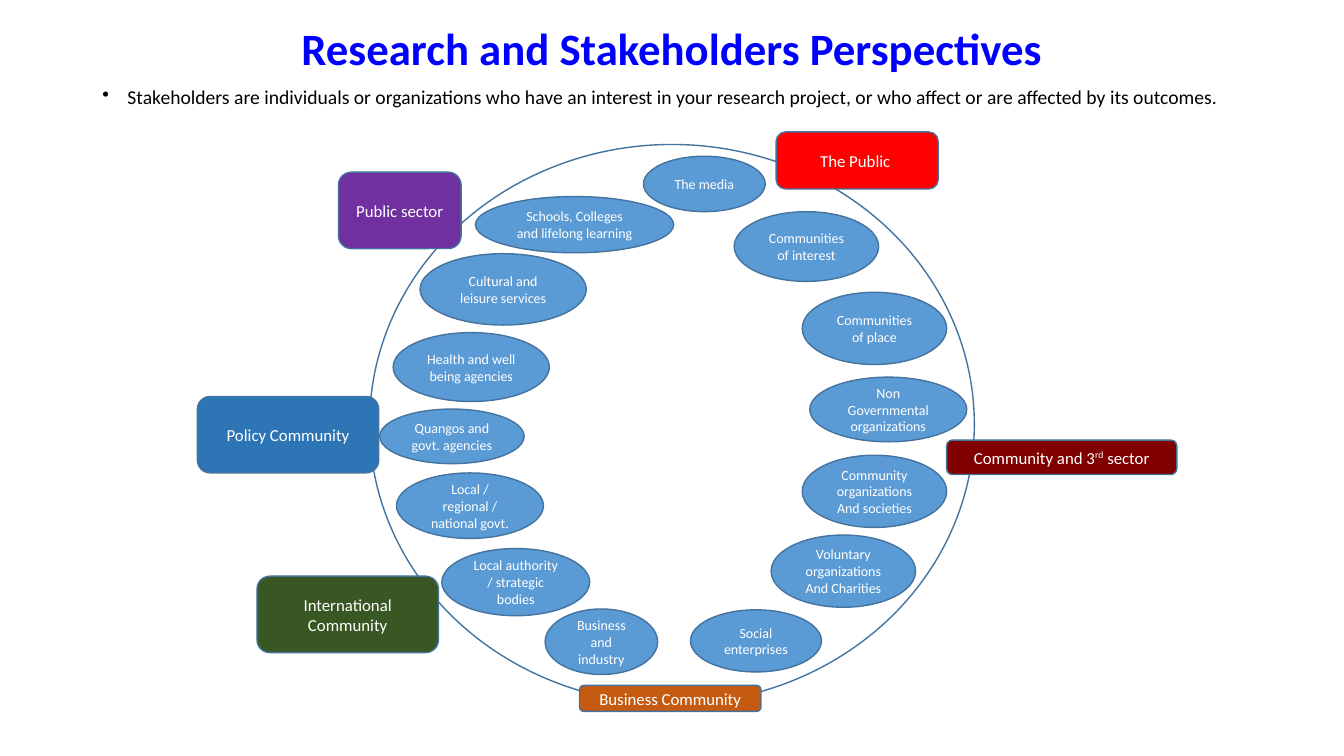
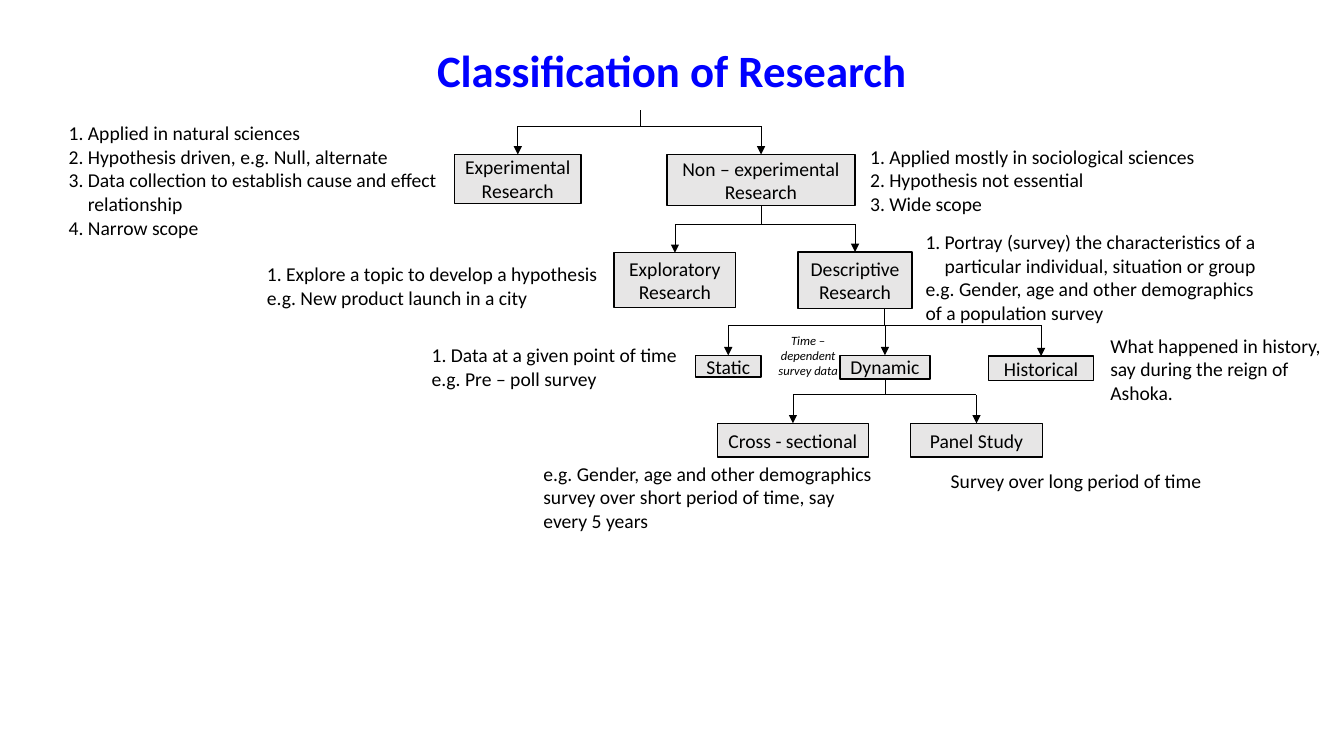
import pptx
import pptx.dml.color
import pptx.enum.shapes
import pptx.enum.text
import pptx.oxml.ns
import pptx.util
from lxml import etree

COLORS = {
    "title": "0000FF", "text": "000000", "light": "FFFFFF", "outline": "43739E",
    "stakeholder": "5B9BD5", "box": "E7E6E6", "public": "FF0000",
    "third_sector": "800000", "international": "385723", "policy": "2E75B6",
    "public_sector": "7030A0", "business": "C55A11",
}
FONT = "Calibri"
CELL = pptx.util.Inches(1 / 12)  # square cell of the grid
COLUMNS, ROWS = 160, 90
SHAPES = pptx.enum.shapes.MSO_SHAPE
ALIGN = pptx.enum.text.PP_ALIGN
ANCHOR = pptx.enum.text.MSO_ANCHOR
BULLET = ("buChar", {"char": "•"}, 0.25)
NUMBER = ("buAutoNum", {"type": "arabicPeriod"}, 0.19)

# Each entry: text, then left, top, width and height in grid cells
STAKEHOLDERS = [
    ("The media", 76.6, 18.6, 14.5, 6.6),
    ("Communities of interest", 87.4, 25.2, 17.2, 8.3),
    ("Communities of place", 95.5, 34.8, 17.2, 8.6),
    ("Non Governmental organizations", 96.4, 44.9, 18.7, 7.7),
    ("Community organizations\nAnd societies", 95.5, 54.2, 17.2, 8.6),
    ("Voluntary organizations\nAnd Charities", 91.8, 63.7, 17.2, 8.6),
    ("Social enterprises", 82.2, 72.6, 15.6, 7.4),
    ("Business and industry", 64.9, 72.5, 13.4, 7.8),
    ("Local authority / strategic bodies", 52.6, 65.3, 17.6, 8),
    ("Local / regional / national govt.", 47.2, 56.3, 17.5, 7.8),
    ("Quangos and govt. agencies", 45.2, 48.7, 17.2, 6.5),
    ("Health and well being agencies", 46.8, 39.6, 18.6, 8.2),
    ("Cultural and leisure services", 50, 30.2, 19.8, 8.5),
    ("Schools, Colleges and lifelong learning", 56.6, 23.4, 23.6, 6.7),
]
SECTORS = [
    ("The Public ", "public", 92.4, 15.7, 19.3, 6.8),
    ("Community and 3^rd^ sector", "third_sector", 112.7, 52.4, 27.4, 4.1),
    ("International Community", "international", 30.6, 68.6, 21.6, 9.1),
    ("Policy Community", "policy", 23.5, 47.2, 21.6, 9.1),
    ("Public sector", "public_sector", 40.3, 20.5, 14.6, 9.1),
    ("Business Community", "business", 69, 81.6, 21.6, 3.1),
]
RESEARCH_TYPES = {
    "experimental": ("Experimental Research", 54.1, 18.4, 15.1, 5.8),
    "non_experimental": ("Non – experimental Research", 79.4, 18.4, 22.4, 6.1),
    "exploratory": ("Exploratory Research", 73.1, 30.1, 14.5, 6.5),
    "descriptive": ("Descriptive Research", 95, 30, 13.6, 6.7),
    "static": ("Static", 82.8, 42.3, 7.8, 2.6),
    "dynamic": ("Dynamic", 100, 42.3, 10.7, 2.8),
    "historical": ("Historical", 117.7, 42.4, 12.5, 2.9),
    "cross_sectional": ("Cross - sectional", 85.4, 50.4, 18, 4),
    "panel": ("Panel Study", 108.4, 50.4, 15.7, 4),
}
# Each entry: numbered points, closing text, then the place in grid cells
NOTES = [
    (["Applied in natural sciences", "Hypothesis driven, e.g. Null, alternate",
      "Data collection to establish cause and effect relationship", "Narrow scope"],
     None, 7, 13.9, 46.4, 15.1),
    (["Applied mostly in sociological sciences", "Hypothesis not essential", "Wide scope"],
     None, 102.4, 16.2, 41.9, 10.4),
    (["Explore a topic to develop a hypothesis"],
     "e.g. New product launch in a city", 30.6, 30.4, 42, 7.2),
    (["Portray (survey) the characteristics of a particular individual, situation or group"],
     "e.g. Gender, age and other demographics of a population survey", 109, 27.8, 41.9, 10.4),
    (["Data at a given point of time"], "e.g. Pre – poll survey", 50.2, 40.6, 31.8, 6.1),
    ([], "What happened in history, say during the reign of Ashoka.", 131, 39.4, 29, 9),
    ([], "e.g. Gender, age and other demographics survey over short period of time, "
         "say every 5 years", 63.5, 55, 41.9, 8.3),
    ([], "Survey over long period of time", 112, 55.4, 32.3, 3.6),
]


def rgb(name):
    return pptx.dml.color.RGBColor.from_string(COLORS[name])


def cells(*counts):
    return [round(count * CELL) for count in counts]


def add_marker(paragraph, marker):
    """Give the paragraph a bullet or number with a hanging indent."""
    tag, attributes, indent = marker
    properties = paragraph._p.get_or_add_pPr()
    properties.set("marL", str(pptx.util.Inches(indent)))
    properties.set("indent", str(-pptx.util.Inches(indent)))
    etree.SubElement(properties, pptx.oxml.ns.qn("a:" + tag), attributes)


def write(shape, paragraphs, size, color="text", align=ALIGN.CENTER, anchor=ANCHOR.MIDDLE,
          bold=False, italic=False, spacing=None):
    """Fill a shape with (text, marker) paragraphs; ^ encloses superscript."""
    frame = shape.text_frame
    frame.word_wrap = True
    frame.vertical_anchor = anchor
    for index, (text, marker) in enumerate(paragraphs):
        paragraph = frame.add_paragraph() if index else frame.paragraphs[0]
        if marker:
            add_marker(paragraph, marker)
        paragraph.alignment = align
        if spacing:
            paragraph.line_spacing = spacing
        font = paragraph.font
        font.name, font.size = FONT, pptx.util.Pt(size)
        font.bold, font.italic = bold, italic
        font.color.rgb = rgb(color)
        for position, part in enumerate(text.split("^")):
            run = paragraph.add_run()
            run.text = part
            if position % 2:
                run._r.get_or_add_rPr().set("baseline", "30000")


def add_text(slide, paragraphs, place, size, **style):
    write(slide.shapes.add_textbox(*cells(*place)), paragraphs, size, **style)


def add_title(slide, text, top):
    add_text(slide, [(text, None)], (11, top, COLUMNS - 22, 7.7), 32,
             color="title", bold=True, spacing=0.9)


def add_node(slide, kind, place, fill=None, line="outline"):
    shape = slide.shapes.add_shape(kind, *cells(*place))
    shape.shadow.inherit = False
    if fill:
        shape.fill.solid()
        shape.fill.fore_color.rgb = rgb(fill)
    else:
        shape.fill.background()
    shape.line.color.rgb = rgb(line)
    shape.line.width = pptx.util.Pt(1)
    return shape


def add_label(slide, kind, text, place, fill, size, color="light", line="outline"):
    shape = add_node(slide, kind, place, fill, line)
    write(shape, [(part, None) for part in text.split("\n")], size, color)
    return shape


def add_research_box(slide, text, place):
    box = add_label(slide, SHAPES.RECTANGLE, text, place, "box", 14, "text", "text")
    frame = box.text_frame
    frame.margin_left = frame.margin_right = pptx.util.Inches(0.05)
    frame.margin_top = frame.margin_bottom = 0
    return box


def add_line(slide, start, end, arrow=False):
    line = slide.shapes.add_connector(pptx.enum.shapes.MSO_CONNECTOR.STRAIGHT, *start, *end)
    line.line.color.rgb = rgb("text")
    line.line.width = pptx.util.Pt(0.5)
    if arrow:
        etree.SubElement(line.line._get_or_add_ln(), pptx.oxml.ns.qn("a:tailEnd"),
                         {"type": "triangle"})
    etree.SubElement(line._element.spPr, pptx.oxml.ns.qn("a:effectLst"))
    return line


def middle(box):
    return box.left + box.width // 2


def add_fork(slide, bar_row, children, parent=None, start=None):
    """Draw a stem from a parent box or a free start, a bar, and an arrow to each child."""
    bar = cells(bar_row)[0]
    x, y = (middle(parent), parent.top + parent.height) if parent else cells(*start)
    stem = add_line(slide, (x, y), (x, bar))
    if parent:
        stem.begin_connect(parent, 2)
    add_line(slide, (middle(children[0]), bar), (middle(children[-1]), bar))
    for child in children:
        arrow = add_line(slide, (middle(child), bar), (middle(child), child.top), arrow=True)
        arrow.end_connect(child, 0)


def build_stakeholders(slide):
    add_title(slide, "Research and Stakeholders Perspectives", 2.2)
    definition = ("Stakeholders are individuals or organizations who have an interest in your "
                  "research project, or who affect or are affected by its outcomes.")
    add_text(slide, [(definition, BULLET)], (11, 9.8, COLUMNS - 22, 4), 14,
             align=ALIGN.LEFT, anchor=ANCHOR.TOP, spacing=0.9)
    for text, *place in STAKEHOLDERS:
        add_label(slide, SHAPES.OVAL, text, place, "stakeholder", 10)
    add_node(slide, SHAPES.OVAL, (44, 17.2, 72, 66.6))
    for text, fill, *place in SECTORS:
        add_label(slide, SHAPES.ROUNDED_RECTANGLE, text, place, fill, 12)


def build_classification(slide):
    add_title(slide, "Classification of Research", 4.8)
    boxes = {name: add_research_box(slide, text, place)
             for name, (text, *place) in RESEARCH_TYPES.items()}
    add_fork(slide, 15, [boxes["experimental"], boxes["non_experimental"]], start=(76.2, 13.1))
    add_fork(slide, 26.7, [boxes["exploratory"], boxes["descriptive"]],
             parent=boxes["non_experimental"])
    add_fork(slide, 38.7, [boxes["static"], boxes["dynamic"], boxes["historical"]],
             start=(105.3, 36.8))
    add_fork(slide, 47, [boxes["cross_sectional"], boxes["panel"]], parent=boxes["dynamic"])
    for points, closing, *place in NOTES:
        paragraphs = [(point, NUMBER) for point in points]
        if closing:
            paragraphs.append((closing, None))
        add_text(slide, paragraphs, place, 14, align=ALIGN.LEFT)
    add_text(slide, [("Time – dependent survey data", None)], (91, 39.4, 10.4, 5.8), 9,
             italic=True)


def main():
    presentation = pptx.Presentation()
    presentation.slide_width, presentation.slide_height = cells(COLUMNS, ROWS)
    blank = presentation.slide_layouts[6]
    for build in (build_stakeholders, build_classification):
        build(presentation.slides.add_slide(blank))
    presentation.save("out.pptx")


if __name__ == "__main__":
    main()
